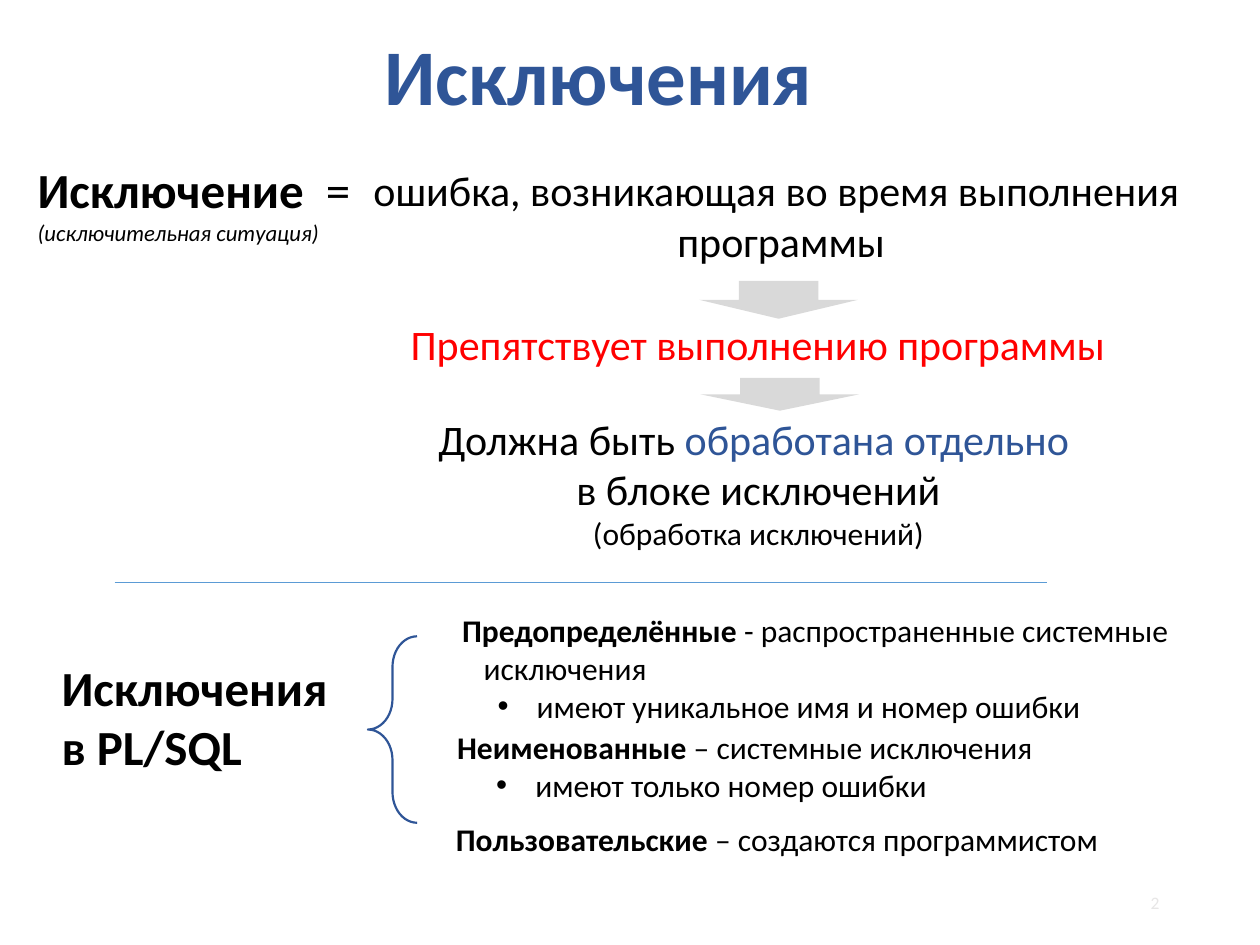
from pptx import Presentation, util as u
from pptx.dml.color import RGBColor
from pptx.enum import shapes, text
from pptx.oxml import parse_xml
from pptx.oxml.ns import nsdecls, qn

THEME = {
    "font": "Calibri",
    "black": "000000", "blue": "2F5597", "red": "FF0000",
    "arrow": "D9D9D9", "rule": "5B9BD5", "number": "E7E6E6",
    "title": 45, "term": 28, "body": 24, "list": 18, "note": 13, "small": 10,
}
LEFT, CENTER, RIGHT = text.PP_ALIGN.LEFT, text.PP_ALIGN.CENTER, text.PP_ALIGN.RIGHT


def color(name):
    """Return a theme colour."""
    return RGBColor.from_string(THEME[name])


def add_text(box, paragraphs, size, align=LEFT, wrap=False, anchor=text.MSO_ANCHOR.TOP):
    """Add a text box; a run is (text, style), where style may hold b, i, color, size."""
    shape = slide.shapes.add_textbox(*map(u.Inches, box))
    frame = shape.text_frame
    frame.word_wrap = wrap
    frame.vertical_anchor = anchor
    for index, runs in enumerate(paragraphs):
        paragraph = frame.add_paragraph() if index else frame.paragraphs[0]
        paragraph.alignment = align
        for words, style in runs:
            run = paragraph.add_run()
            run.text = words
            run.font.name = THEME["font"]
            run.font.size = u.Pt(THEME[style.get("size", size)])
            run.font.bold = style.get("b", False)
            run.font.italic = style.get("i", False)
            run.font.color.rgb = color(style.get("color", "black"))
    return frame


presentation = Presentation()
presentation.slide_width, presentation.slide_height = u.Inches(10), u.Inches(7.5)
slide = presentation.slides.add_slide(presentation.slide_layouts[6])
bold = {"b": True}

# Title and definition
title = add_text((1.82, 0.22, 5.86, 0.8), [[("Исключения", {"b": True, "color": "blue"})]],
                 "title", CENTER, True, text.MSO_ANCHOR.BOTTOM)
title.paragraphs[0].line_spacing = 0.9
add_text((0.2, 1.22, 2.72, 0.79), [
    [("Исключение", bold), ("  =", {})],
    [("(исключительная ситуация) ", {"i": True, "size": "note"})],
], "term")
add_text((2.78, 1.26, 6.84, 0.91), [
    [("ошибка, возникающая во время выполнения ", {})],
    [("программы", {})],
], "body", CENTER)

# Consequences
add_text((3.13, 2.48, 5.77, 0.5),
         [[("Препятствует выполнению программы", {"color": "red"})]], "body", CENTER)
add_text((3.34, 3.23, 5.36, 1.21), [
    [("Должна быть ", {}), ("обработана отдельно ", {"color": "blue"})],
    [("в блоке исключений", {})],
    [("(обработка исключений)", {"size": "list"})],
], "body", CENTER)
for left, top, height in ((5.55, 2.23, 0.3), (5.56, 3, 0.26)):
    arrow = slide.shapes.add_shape(shapes.MSO_SHAPE.DOWN_ARROW, u.Inches(left), u.Inches(top),
                                   u.Inches(1.26), u.Inches(height))
    arrow.shadow.inherit = False
    arrow.fill.solid()
    arrow.fill.fore_color.rgb = color("arrow")
    arrow.line.fill.background()

# Divider
divider = slide.shapes.add_connector(shapes.MSO_CONNECTOR.STRAIGHT, u.Inches(0.91),
                                     u.Inches(4.62), u.Inches(8.31), u.Inches(4.62))
divider.line.color.rgb = color("rule")
divider.line.width = u.Pt(0.5)
divider._element.spPr.append(parse_xml(f"<a:effectLst {nsdecls('a')}/>"))

# Kinds of exceptions
add_text((0.39, 5.17, 2.34, 1.04),
         [[("Исключения", bold)], [("в PL/SQL", bold)]], "term")
brace = slide.shapes.add_shape(shapes.MSO_SHAPE.LEFT_BRACE, u.Inches(2.92), u.Inches(5.05),
                               u.Inches(0.39), u.Inches(1.48))
brace.adjustments[0] = 0.623
brace.shadow.inherit = False
brace.fill.background()
brace.line.color.rgb = color("blue")
brace.line.width = u.Pt(1.25)

predefined = add_text((3.57, 4.8, 5.93, 1.01), [
    [("Предопределённые", bold), (" - распространенные системные ", {})],
    [("исключения", {})],
    [("имеют уникальное имя и номер ошибки", {})],
], "list")
unnamed = add_text((3.53, 5.73, 4.84, 0.71), [
    [("Неименованные ", bold), ("– системные исключения", {})],
    [("имеют только номер ошибки", {})],
], "list", wrap=True)
add_text((3.52, 6.46, 5.34, 0.4),
         [[("Пользовательские", bold), (" – создаются программистом", {})]], "list")

predefined.paragraphs[1]._p.get_or_add_pPr().set("marL", str(u.Inches(0.17)))
for frame, margin in ((predefined, 0.59), (unnamed, 0.62)):
    properties = frame.paragraphs[-1]._p.get_or_add_pPr()
    properties.set("marL", str(u.Inches(margin)))
    properties.set("indent", str(u.Inches(-0.31)))
    properties.append(parse_xml(f'<a:buFont {nsdecls("a")} typeface="Arial"/>'))
    properties.append(parse_xml(f'<a:buChar {nsdecls("a")} char="•"/>'))

# Slide number
number = add_text((8.3, 6.96, 1, 0.4), [[("2", {"color": "number"})]], "small", RIGHT,
                  True, text.MSO_ANCHOR.MIDDLE)

presentation.save("out.pptx")
